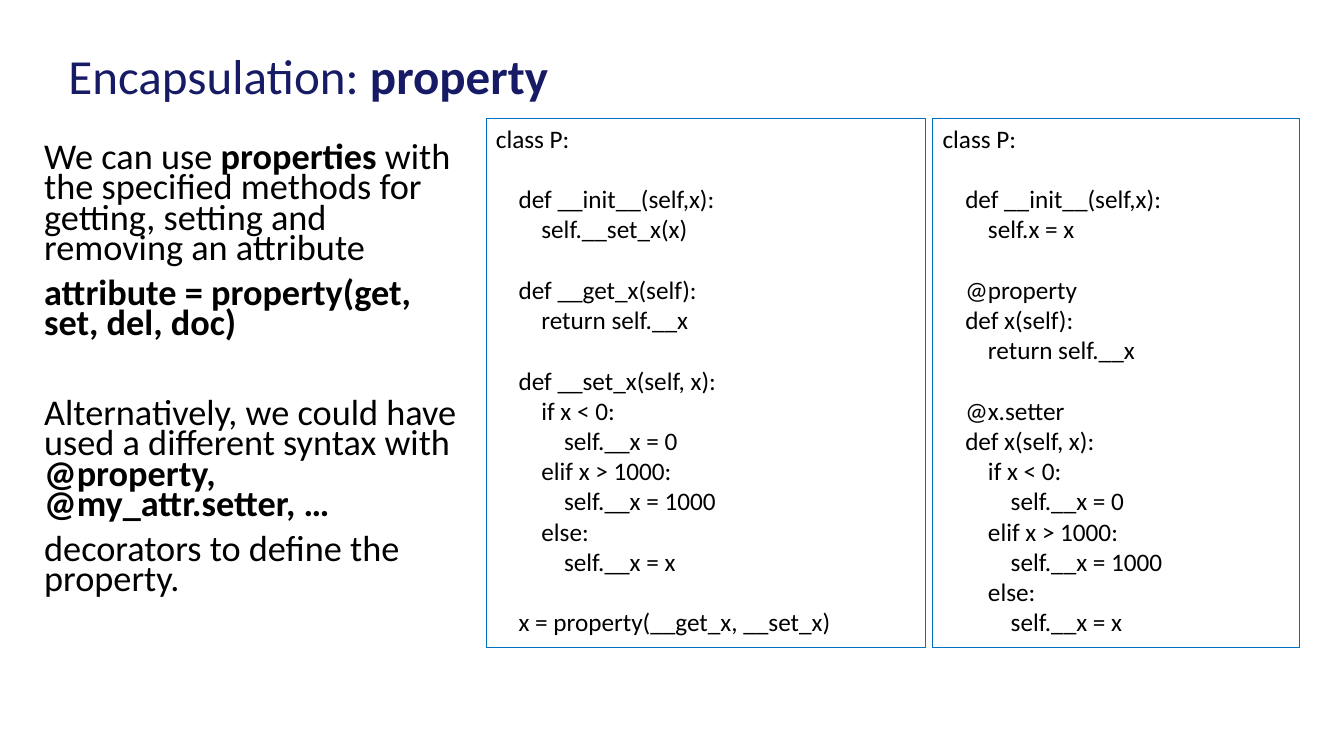
"""Build a slide on encapsulation with Python properties."""
from pptx import Presentation, util as u
from pptx.dml.color import RGBColor
from pptx.enum import shapes, text

WIDTH, HEIGHT = 13.33, 7.5
FONT, NAVY, BLACK, WHITE, BLUE = "Calibri", "171B65", "000000", "FFFFFF", "0070C0"

TITLE = [("Encapsulation: ", False), ("property", True)]
BODY = [
    (0, [("We can use ", False), ("properties", True),
         (" with the specified methods for getting, setting and removing an attribute", False)]),
    (10, [("attribute = property(get, set, del, doc)", True)]),
    (42, [("Alternatively, we could have used a different syntax with ", False),
          ("@property, @my_attr.setter, …", True)]),
    (10, [("decorators to define the property.", False)]),
]
PROPERTY_CALL = """class P:

    def __init__(self,x):
        self.__set_x(x)

    def __get_x(self):
        return self.__x

    def __set_x(self, x):
        if x < 0:
            self.__x = 0
        elif x > 1000:
            self.__x = 1000
        else:
            self.__x = x

    x = property(__get_x, __set_x)"""
DECORATORS = """class P:

    def __init__(self,x):
        self.x = x

    @property
    def x(self):
        return self.__x

    @x.setter
    def x(self, x):
        if x < 0:
            self.__x = 0
        elif x > 1000:
            self.__x = 1000
        else:
            self.__x = x"""
CODE_TOP, CODE_HEIGHT, CODE_LEFT, CODE_GAP = 1.17, 5.25, 4.82, 0.07
CODE = [(4.36, PROPERTY_CALL), (3.64, DECORATORS)]


def color(value):
    return RGBColor.from_string(value)


def style(run, size, fill, bold=False):
    run.font.name, run.font.size, run.font.bold = FONT, u.Pt(size), bold
    run.font.color.rgb = color(fill)


def add_text(slide, box, paragraphs, size, fill, spacing, anchor):
    tf = slide.shapes.add_textbox(*map(u.Inches, box)).text_frame
    tf.word_wrap, tf.vertical_anchor = True, anchor
    for i, (before, runs) in enumerate(paragraphs):
        p = tf.add_paragraph() if i else tf.paragraphs[0]
        p.line_spacing, p.space_before = spacing, u.Pt(before)
        for words, bold in runs:
            r = p.add_run()
            r.text = words
            style(r, size, fill, bold)


def add_code(slide, left, width, code):
    box = map(u.Inches, (left, CODE_TOP, width, CODE_HEIGHT))
    sp = slide.shapes.add_shape(shapes.MSO_SHAPE.RECTANGLE, *box)
    sp.shadow.inherit = False
    sp.fill.solid()
    sp.fill.fore_color.rgb = color(WHITE)
    sp.line.color.rgb, sp.line.width = color(BLUE), u.Pt(0.5)
    tf = sp.text_frame
    tf.text = code
    tf.word_wrap, tf.vertical_anchor = True, text.MSO_ANCHOR.TOP
    for p in tf.paragraphs:
        p.alignment = text.PP_ALIGN.LEFT
        p.font.size = u.Pt(18)
        for r in p.runs:
            style(r, 18, BLACK)


def main():
    prs = Presentation()
    prs.slide_width, prs.slide_height = u.Inches(WIDTH), u.Inches(HEIGHT)
    slide = prs.slides.add_slide(prs.slide_layouts[6])
    add_text(slide, (0.58, 0.49, 12.42, 0.58), [(0, TITLE)], 35, NAVY, 0.9,
             text.MSO_ANCHOR.MIDDLE)
    add_text(slide, (0.34, 1.39, 4.4, 5.14), BODY, 25.9, BLACK, 0.7,
             text.MSO_ANCHOR.TOP)
    left = CODE_LEFT
    for width, code in CODE:
        add_code(slide, left, width, code)
        left += width + CODE_GAP
    prs.save("out.pptx")


if __name__ == "__main__":
    main()
